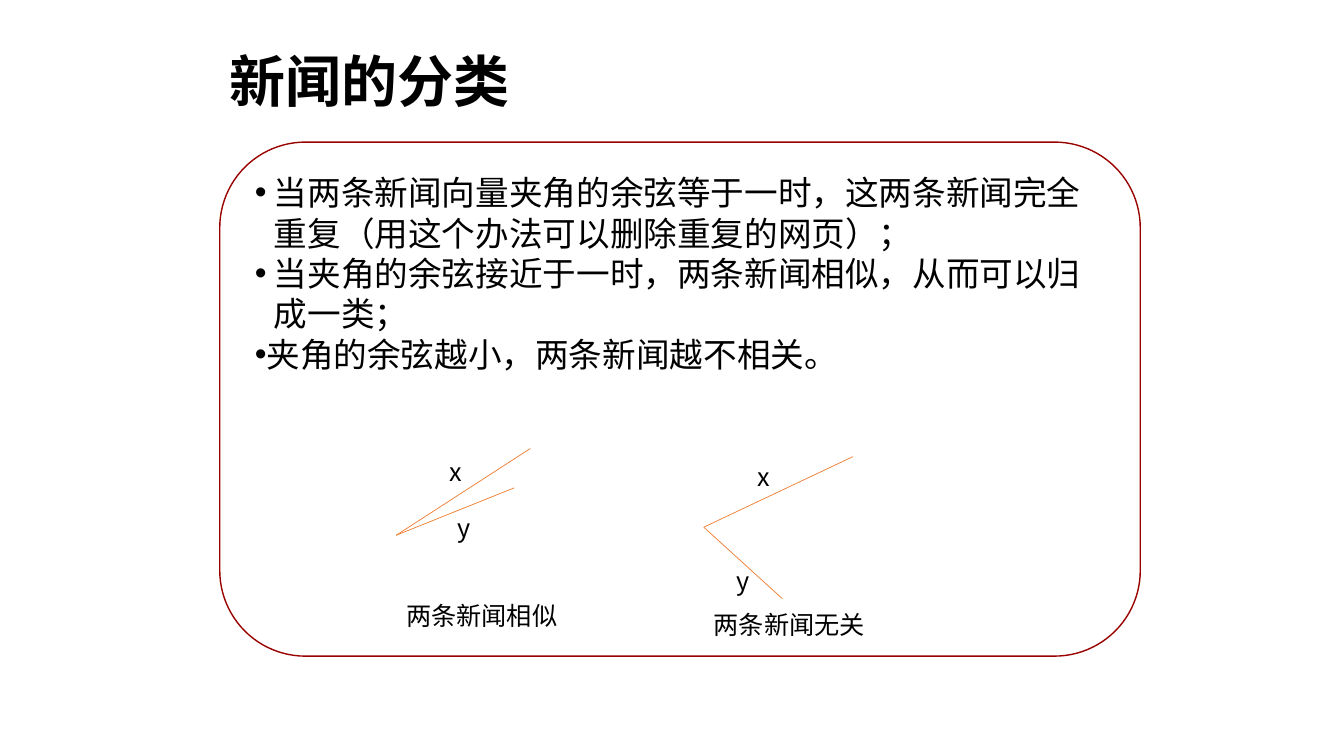
from pptx import Presentation
from pptx.dml.color import RGBColor
from pptx.enum.shapes import MSO_CONNECTOR as CONN, MSO_SHAPE as SHAPE
from pptx.enum.text import MSO_ANCHOR as ANCHOR, MSO_AUTO_SIZE as AUTO, PP_ALIGN as ALIGN
from pptx.oxml.ns import qn
from pptx.util import Inches, Pt
from lxml.etree import SubElement

FONT = "Noto Sans CJK SC"
BLACK, WHITE, RED, ORANGE = "000000", "FFFFFF", "990000", "ED7D31"


def color(value):
    return RGBColor.from_string(value)


def write(p, text, size=18, bold=False, fill=BLACK, spacing=None):
    p.alignment = ALIGN.LEFT
    p.line_spacing = spacing
    r = p.add_run()
    r.text = text
    r.font.size = Pt(size)
    r.font.bold = bold
    r.font.name = FONT
    r.font.color.rgb = color(fill)
    SubElement(r._r.get_or_add_rPr(), qn("a:ea"), typeface=FONT)


def bullet(p, indent):
    pPr = p._p.get_or_add_pPr()
    pPr.set("marL", str(Inches(indent)))
    pPr.set("indent", str(-Inches(indent)))
    SubElement(pPr, qn("a:buFont"), typeface="Arial")
    SubElement(pPr, qn("a:buChar"), char="•")


def add_title(s, text, x, y, w, h):
    sp = s.shapes.title
    sp.left, sp.top, sp.width, sp.height = map(Inches, (x, y, w, h))
    tf = sp.text_frame
    tf.vertical_anchor = ANCHOR.MIDDLE
    write(tf.paragraphs[0], text, size=40, bold=True, spacing=0.9)


def add_panel(s, items, x, y, w, h):
    sp = s.shapes.add_shape(SHAPE.ROUNDED_RECTANGLE, *map(Inches, (x, y, w, h)))
    sp.shadow.inherit = False
    sp.fill.solid()
    sp.fill.fore_color.rgb = color(WHITE)
    sp.line.color.rgb = color(RED)
    sp.line.width = Pt(1)
    tf = sp.text_frame
    tf.word_wrap = True
    tf.vertical_anchor = ANCHOR.TOP
    for i, (text, indent) in enumerate(items):
        p = tf.add_paragraph() if i else tf.paragraphs[0]
        write(p, text, size=24)
        bullet(p, indent)


def add_label(s, text, x, y, w, h=0.4):
    tf = s.shapes.add_textbox(*map(Inches, (x, y, w, h))).text_frame
    tf.word_wrap = False
    tf.auto_size = AUTO.SHAPE_TO_FIT_TEXT
    write(tf.paragraphs[0], text)


def add_angle(s, x, y, rays, letters, caption, caption_dy):
    for dx, dy in rays:
        line = s.shapes.add_connector(
            CONN.STRAIGHT, *map(Inches, (x, y, x + dx, y + dy)))
        line.line.color.rgb = color(ORANGE)
        line.line.width = Pt(0.5)
        SubElement(line._element.spPr, qn("a:effectLst"))
    for letter, (dx, dy) in zip("xy", letters):
        add_label(s, letter, x + dx, y + dy, 0.32)
    add_label(s, caption, x, y + caption_dy, 1.72)


def main():
    prs = Presentation()
    prs.slide_width, prs.slide_height = Inches(13.33), Inches(7.5)
    s = prs.slides.add_slide(prs.slide_layouts[5])
    add_panel(s, [
        ("当两条新闻向量夹角的余弦等于一时，这两条新闻完全重复（用这个办法可以删除重复的网页）；", 0.19),
        ("当夹角的余弦接近于一时，两条新闻相似，从而可以归成一类；", 0.19),
        ("夹角的余弦越小，两条新闻越不相关。", 0),
    ], 2.18, 1.41, 9.13, 5.1)
    add_title(s, "新闻的分类", 2.18, 0.44, 7.76, 0.79)
    add_angle(s, 3.93, 5.31, [(1.33, -0.86), (1.17, -0.47)],
              [(0.43, -0.83), (0.51, -0.28)], "两条新闻相似", 0.6)
    add_angle(s, 6.98, 5.23, [(1.48, -0.7), (0.78, 0.71)],
              [(0.43, -0.7), (0.23, 0.33)], "两条新闻无关", 0.77)
    prs.save("out.pptx")


if __name__ == "__main__":
    main()
